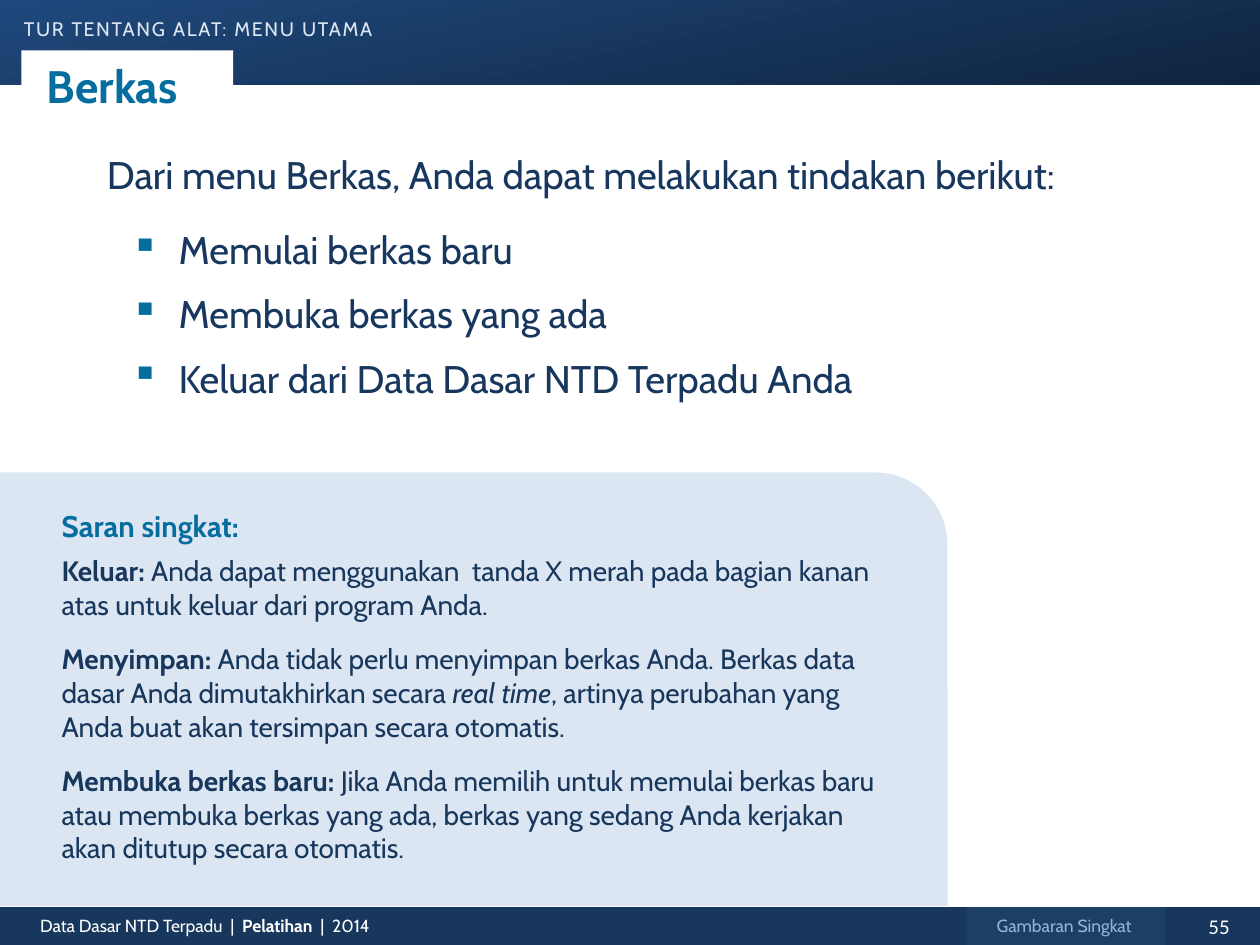
from dataclasses import dataclass

from lxml import etree
from pptx import Presentation
from pptx.dml.color import RGBColor
from pptx.enum import shapes, text
from pptx.oxml import ns
from pptx.util import Inches, Pt

COLORS = {
    "white": "FFFFFF", "navy": "17375D", "body": "17375E", "teal": "066E9F",
    "pale": "DCE6F2", "tab": "1E3F65", "muted": "95B3D7",
    "band_start": "1F497D", "band_end": "0F243E",
}
CELL = 0.1  # inches: the slide is a grid of 100 columns by 75 rows
COLUMNS, ROWS = 100, 75
HANGING = 0.38

ACTIONS = ["Memulai berkas baru", "Membuka berkas yang ada",
           "Keluar dari Data Dasar NTD Terpadu Anda"]
TIPS = [
    [("Keluar: ", "b"),
     ("Anda dapat menggunakan  tanda X merah pada bagian kanan atas untuk "
      "keluar dari program Anda.", "")],
    [("Menyimpan: ", "b"),
     ("Anda tidak perlu menyimpan berkas Anda. Berkas data dasar Anda "
      "dimutakhirkan secara ", ""),
     ("real time", "i"),
     (", artinya perubahan yang Anda buat akan tersimpan secara otomatis.", "")],
    [("Membuka berkas baru: ", "b"),
     ("Jika Anda memilih untuk memulai berkas baru atau membuka berkas yang "
      "ada, berkas yang sedang Anda kerjakan akan ditutup secara otomatis.", "")],
]


@dataclass
class Box:
    column: float
    row: float
    columns: float
    rows: float

    def inside(self, column, row, columns, rows):
        return Box(self.column + column, self.row + row, columns, rows)

    def lengths(self):
        cells = (self.column, self.row, self.columns, self.rows)
        return [Inches(cell * CELL) for cell in cells]


def color(name):
    return RGBColor.from_string(COLORS[name])


def add_panel(slide, box, fill=None, kind=shapes.MSO_SHAPE.RECTANGLE):
    shape = slide.shapes.add_shape(kind, *box.lengths())
    shape.shadow.inherit = False
    shape.line.fill.background()
    if fill:
        shape.fill.solid()
        shape.fill.fore_color.rgb = color(fill)
    return shape


def add_text_frame(slide, box, wrap=True):
    frame = slide.shapes.add_textbox(*box.lengths()).text_frame
    frame.word_wrap = wrap
    return frame


def add_run(paragraph, words, size, fill, style="", font="Cabin"):
    run = paragraph.add_run()
    run.text = words
    run.font.name = font
    run.font.size = Pt(size)
    run.font.color.rgb = color(fill)
    run.font.bold = "b" in style
    run.font.italic = "i" in style
    return run


def set_indent(paragraph, left):
    properties = paragraph._p.get_or_add_pPr()
    properties.set("marL", str(Inches(left)))
    properties.set("indent", str(-Inches(HANGING)))
    return properties


def add_bullet(paragraph, fill):
    properties = set_indent(paragraph, 0.57)
    bullet_color = etree.SubElement(properties, ns.qn("a:buClr"))
    etree.SubElement(bullet_color, ns.qn("a:srgbClr"), val=COLORS[fill])
    etree.SubElement(properties, ns.qn("a:buChar"), char="▪")


def add_header(slide, box):
    # Gradient band
    band = add_panel(slide, box)
    band.fill.gradient()
    band.fill.gradient_angle = 360 - 78
    for stop, name in zip(band.fill.gradient_stops, ("band_start", "band_end")):
        stop.color.rgb = color(name)

    # Section name in spaced small capitals
    frame = add_text_frame(slide, box.inside(1.9, 0.5, 27.9, 3.4), wrap=False)
    frame.margin_left = frame.margin_right = 0
    run = add_run(frame.paragraphs[0], "tur tentang alat: menu utama", 14, "pale")
    properties = run._r.get_or_add_rPr()
    properties.set("cap", "small")
    properties.set("spc", "100")

    # Title tab
    tab = add_panel(slide, box.inside(1.7, 4, 16.8, 5.6), "white",
                    shapes.MSO_SHAPE.ROUND_2_SAME_RECTANGLE)
    tab.adjustments[0] = 0
    frame = tab.text_frame
    frame.word_wrap = False
    frame.vertical_anchor = text.MSO_ANCHOR.MIDDLE
    frame.margin_left = frame.margin_right = Inches(0.2)
    frame.paragraphs[0].alignment = text.PP_ALIGN.LEFT
    add_run(frame.paragraphs[0], "Berkas", 26, "teal", "b")


def add_actions(slide, box):
    frame = add_text_frame(slide, box)
    lead = frame.paragraphs[0]
    set_indent(lead, HANGING)
    lead.space_after = Pt(12)
    add_run(lead, "Dari menu Berkas, Anda dapat melakukan tindakan berikut:",
            22, "body")
    for action in ACTIONS:
        paragraph = frame.add_paragraph()
        add_bullet(paragraph, "teal")
        paragraph.space_before = Pt(4.4)
        paragraph.space_after = Pt(6)
        add_run(paragraph, action, 22, "body")


def add_tips(slide, box):
    add_panel(slide, box, "pale", shapes.MSO_SHAPE.ROUND_1_RECTANGLE)
    frame = add_text_frame(slide, box.inside(3.9, 2.3, 67.4, 33.3))
    heading = frame.paragraphs[0]
    heading.space_after = Pt(6)
    add_run(heading, "Saran singkat:", 17, "teal", "b")
    for tip in TIPS:
        paragraph = frame.add_paragraph()
        paragraph.space_after = Pt(6 if tip is TIPS[-1] else 12)
        for words, style in tip:
            add_run(paragraph, words, 16, "navy", style)


def add_footer(slide, box):
    add_panel(slide, box, "navy")
    add_panel(slide, box.inside(76.7, 0, 15.8, 3.1), "tab")

    # Course name
    frame = add_text_frame(slide, box.inside(2.2, 0.1, 45.3, 2.7))
    for words, style in (("Data Dasar NTD Terpadu  |  ", ""),
                         ("Pelatihan  ", "b"), ("|  2014", "")):
        add_run(frame.paragraphs[0], words, 10, "white", style)

    # Chapter name and page number
    for part, words, size, fill, font in (
            (box.inside(76.7, 0.1, 15.5, 2.7), "Gambaran Singkat", 10, "muted", "Cabin"),
            (box.inside(93.5, 0, 6.5, 3), "55", 12, "white", "Calibri")):
        paragraph = add_text_frame(slide, part).paragraphs[0]
        paragraph.alignment = text.PP_ALIGN.CENTER
        add_run(paragraph, words, size, fill, font=font)


def main():
    presentation = Presentation()
    presentation.slide_width = Inches(COLUMNS * CELL)
    presentation.slide_height = Inches(ROWS * CELL)
    slide = presentation.slides.add_slide(presentation.slide_layouts[6])
    add_header(slide, Box(0, 0, COLUMNS, 6.7))
    add_footer(slide, Box(0, 72, COLUMNS, 3))
    add_actions(slide, Box(7.5, 11.5, 85.8, 27.8))
    add_tips(slide, Box(0, 37.5, 75.2, 34.4))
    presentation.save("out.pptx")


if __name__ == "__main__":
    main()
